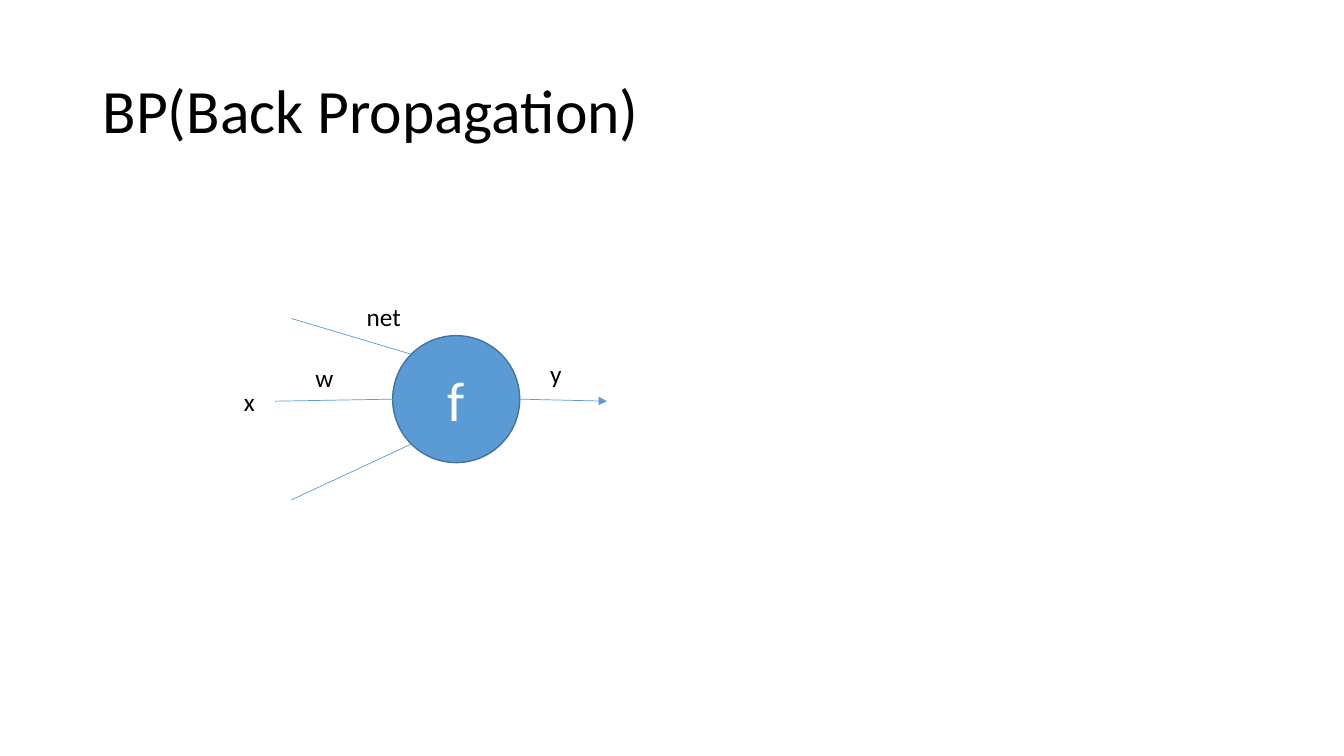
from dataclasses import dataclass
from math import cos, radians, sin

from lxml import etree
from pptx import Presentation
from pptx.dml.color import RGBColor
from pptx.enum.shapes import MSO_CONNECTOR, MSO_SHAPE
from pptx.enum.text import MSO_ANCHOR, MSO_AUTO_SIZE, PP_ALIGN
from pptx.oxml.ns import qn
from pptx.shapes.autoshape import Shape
from pptx.slide import Slide
from pptx.text.text import TextFrame
from pptx.util import Inches, Pt

STRAIGHT = MSO_CONNECTOR.STRAIGHT
OVAL = MSO_SHAPE.OVAL
MIDDLE = MSO_ANCHOR.MIDDLE
CENTER = PP_ALIGN.CENTER
GROW = MSO_AUTO_SIZE.SHAPE_TO_FIT_TEXT

WIDTH, HEIGHT = Inches(13.33), Inches(7.5)
COL, ROW = WIDTH / 100, HEIGHT / 100


@dataclass(frozen=True)
class Theme:
    font: str = "Calibri"
    ink: RGBColor = RGBColor(0, 0, 0)
    white: RGBColor = RGBColor(255, 255, 255)
    blue: RGBColor = RGBColor(0x5B, 0x9B, 0xD5)
    edge: RGBColor = RGBColor(0x43, 0x73, 0x9E)
    title: int = 44
    node: int = 40
    label: int = 18
    rim: float = 1
    wire: float = 0.5


@dataclass(frozen=True)
class Box:
    """A box in columns and rows, each a hundredth of the slide."""
    col: float
    row: float
    wide: float
    high: float

    def place(self) -> tuple[int, int, int, int]:
        return (round(self.col * COL), round(self.row * ROW),
                round(self.wide * COL), round(self.high * ROW))


@dataclass(frozen=True)
class Label:
    text: str
    box: Box


@dataclass(frozen=True)
class Wire:
    """A line between a free end and the node's rim, at a clockwise angle."""
    col: float
    row: float
    angle: float
    output: bool = False


THEME = Theme()
TITLE = Label("BP(Back Propagation)", Box(6.9, 5.33, 86.25, 19.33))
NODE = Label("f", Box(29.22, 44.4, 9.45, 16.8))
HIGH = 5.33
LABELS = [
    Label("net", Box(26.55, 39.2, 4.05, HIGH)),
    Label("y", Box(40.2, 46.8, 2.4, HIGH)),
    Label("w", Box(22.73, 47.33, 2.85, HIGH)),
    Label("x", Box(17.4, 50.4, 2.33, HIGH)),
]
WIRES = [
    Wire(21.68, 42.13, 225),
    Wire(20.48, 53.07, 180),
    Wire(21.68, 66.13, 135),
    Wire(45.16, 53.07, 0, output=True),
]


def write(frame: TextFrame, text: str, size: int, color: RGBColor) -> None:
    line = frame.paragraphs[0]
    line.text = text
    line.font.name = THEME.font
    line.font.size = Pt(size)
    line.font.color.rgb = color


def add_title(slide: Slide) -> None:
    frame = slide.shapes.add_textbox(*TITLE.box.place()).text_frame
    frame.word_wrap = True
    frame.vertical_anchor = MIDDLE
    write(frame, TITLE.text, THEME.title, THEME.ink)
    frame.paragraphs[0].line_spacing = 0.9


def add_node(slide: Slide) -> Shape:
    node = slide.shapes.add_shape(OVAL, *NODE.box.place())
    node.shadow.inherit = False
    node.fill.solid()
    node.fill.fore_color.rgb = THEME.blue
    node.line.color.rgb = THEME.edge
    node.line.width = Pt(THEME.rim)
    frame = node.text_frame
    frame.vertical_anchor = MIDDLE
    write(frame, NODE.text, THEME.node, THEME.white)
    frame.paragraphs[0].alignment = CENTER
    return node


def add_wire(slide: Slide, node: Shape, wire: Wire) -> None:
    turn = radians(wire.angle)
    rim = (round(node.left + node.width * (1 + cos(turn)) / 2),
           round(node.top + node.height * (1 + sin(turn)) / 2))
    free = round(wire.col * COL), round(wire.row * ROW)
    start, end = (rim, free) if wire.output else (free, rim)
    line = slide.shapes.add_connector(STRAIGHT, *start, *end)
    line.line.color.rgb = THEME.blue
    line.line.width = Pt(THEME.wire)
    props = line.element.spPr
    if wire.output:
        etree.SubElement(props.find(qn("a:ln")), qn("a:tailEnd"), type="triangle")
    etree.SubElement(props, qn("a:effectLst"))


def add_label(slide: Slide, label: Label) -> None:
    frame = slide.shapes.add_textbox(*label.box.place()).text_frame
    frame.word_wrap = False
    frame.auto_size = GROW
    write(frame, label.text, THEME.label, THEME.ink)


def main() -> None:
    deck = Presentation()
    deck.slide_width, deck.slide_height = WIDTH, HEIGHT
    slide = deck.slides.add_slide(deck.slide_layouts[6])
    add_title(slide)
    node = add_node(slide)
    for wire in WIRES:
        add_wire(slide, node, wire)
    for label in LABELS:
        add_label(slide, label)
    deck.save("out.pptx")


if __name__ == "__main__":
    main()
